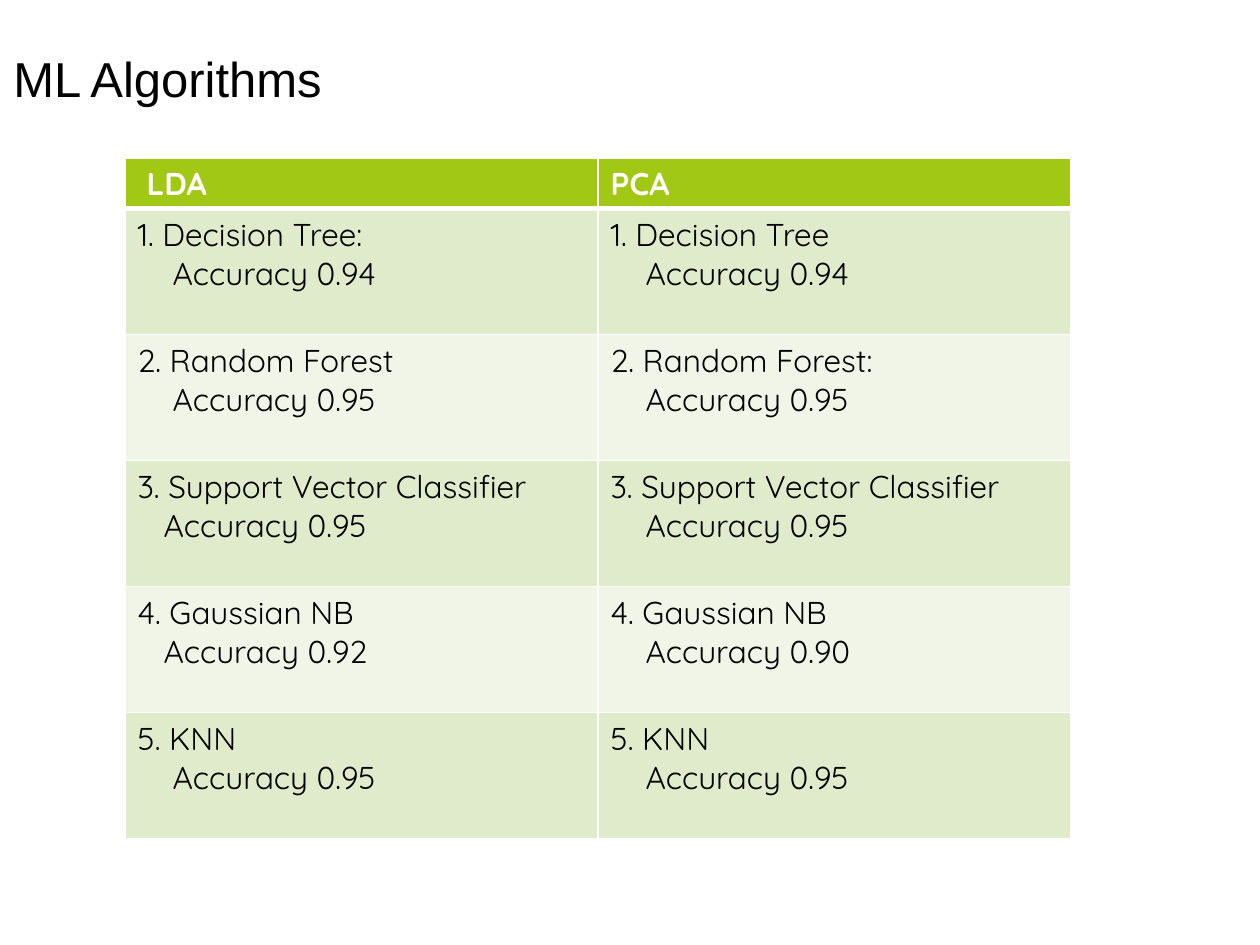
from dataclasses import dataclass

from lxml import etree
from pptx import Presentation
from pptx.dml.color import RGBColor
from pptx.oxml.ns import qn
from pptx.util import Pt

EMU_PER_PX = 914400 / 126
SLIDE_WIDTH, SLIDE_HEIGHT = 1260, 945
TABLE_LEFT, TABLE_TOP = 125, 158
COLUMN_WIDTH, HEADER_HEIGHT, RESULT_HEIGHT = 473, 50, 126
WHITE, BLACK = "FFFFFF", "000000"
HEADER_FILL = "A2C816"
BAND_FILLS = ("E0EBCC", "F0F5E8")
THIN, THICK = 1, 3


@dataclass(frozen=True)
class Result:
    algorithm: str
    accuracy: str
    indent: int = 35


@dataclass(frozen=True)
class Method:
    heading: str
    indent: int
    results: tuple[Result, ...]


METHODS = (
    Method("LDA", 9, (
        Result("1. Decision Tree:", "0.94"),
        Result("2. Random Forest", "0.95"),
        Result("3. Support Vector Classifier", "0.95", 26),
        Result("4. Gaussian NB", "0.92", 26),
        Result("5. KNN", "0.95"),
    )),
    Method("PCA", 0, (
        Result("1. Decision Tree", "0.94"),
        Result("2. Random Forest:", "0.95"),
        Result("3. Support Vector Classifier", "0.95"),
        Result("4. Gaussian NB", "0.90"),
        Result("5. KNN", "0.95"),
    )),
)


def px(length: int) -> int:
    return round(length * EMU_PER_PX)


def rgb(color: str) -> RGBColor:
    return RGBColor.from_string(color)


def format_runs(paragraph, font: str, size: int, color: str, bold: bool = False) -> None:
    for run in paragraph.runs:
        run.font.name = font
        run.font.size = Pt(size)
        run.font.bold = bold
        run.font.color.rgb = rgb(color)


def set_borders(cell, top: int, bottom: int) -> None:
    """Put white lines around a cell; widths are in points."""
    properties = cell._tc.get_or_add_tcPr()
    sides = (("a:lnL", THIN), ("a:lnR", THIN), ("a:lnT", top), ("a:lnB", bottom))
    for position, (side, width) in enumerate(sides):
        line = etree.Element(qn(side), w=str(Pt(width)))
        fill = etree.SubElement(line, qn("a:solidFill"))
        etree.SubElement(fill, qn("a:srgbClr"), val=WHITE)
        properties.insert(position, line)


def fill_cell(cell, lines: list[tuple[str, int]], fill: str, color: str,
              bold: bool = False, top: int = THIN, bottom: int = THIN) -> None:
    """Write (text, left indent) lines into a cell and style it."""
    cell.text_frame.text = "\n".join(text for text, _ in lines)
    for paragraph, (_, indent) in zip(cell.text_frame.paragraphs, lines):
        paragraph._p.get_or_add_pPr().set("marL", str(px(indent)))
        format_runs(paragraph, "Quicksand", 18, color, bold)
    cell.fill.solid()
    cell.fill.fore_color.rgb = rgb(fill)
    set_borders(cell, top, bottom)


def add_title(slide, text: str) -> None:
    title = slide.shapes.add_textbox(px(1), px(42), px(1070), px(72))
    title.text_frame.word_wrap = True
    title.text_frame.text = text
    format_runs(title.text_frame.paragraphs[0], "Arial", 28, BLACK)


def add_results_table(slide, methods: tuple[Method, ...]) -> None:
    result_count = len(methods[0].results)
    table = slide.shapes.add_table(
        result_count + 1, len(methods), px(TABLE_LEFT), px(TABLE_TOP),
        px(COLUMN_WIDTH * len(methods)),
        px(HEADER_HEIGHT + RESULT_HEIGHT * result_count),
    ).table
    for row_index, row in enumerate(table.rows):
        row.height = px(RESULT_HEIGHT if row_index else HEADER_HEIGHT)
    for column, method in enumerate(methods):
        table.columns[column].width = px(COLUMN_WIDTH)
        fill_cell(table.cell(0, column), [(method.heading, method.indent)],
                  HEADER_FILL, WHITE, bold=True, bottom=THICK)
        for index, result in enumerate(method.results):
            lines = [(result.algorithm, 0),
                     (f"Accuracy {result.accuracy}", result.indent)]
            fill_cell(table.cell(index + 1, column), lines,
                      BAND_FILLS[index % 2], BLACK,
                      top=THIN if index else THICK)


def main() -> None:
    presentation = Presentation()
    presentation.slide_width = px(SLIDE_WIDTH)
    presentation.slide_height = px(SLIDE_HEIGHT)
    slide = presentation.slides.add_slide(presentation.slide_layouts[6])
    add_title(slide, "ML Algorithms")
    add_results_table(slide, METHODS)
    presentation.save("out.pptx")


if __name__ == "__main__":
    main()
